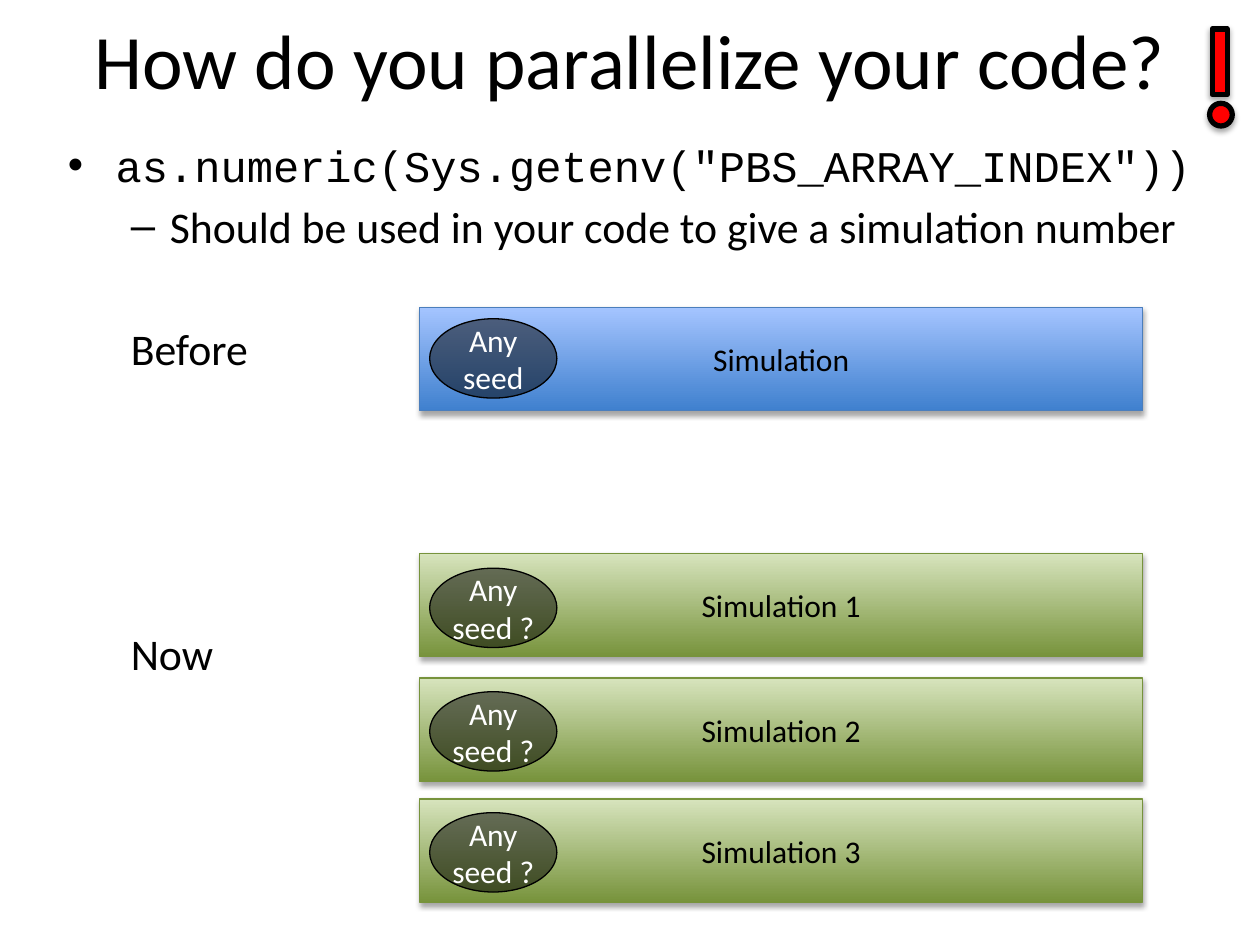
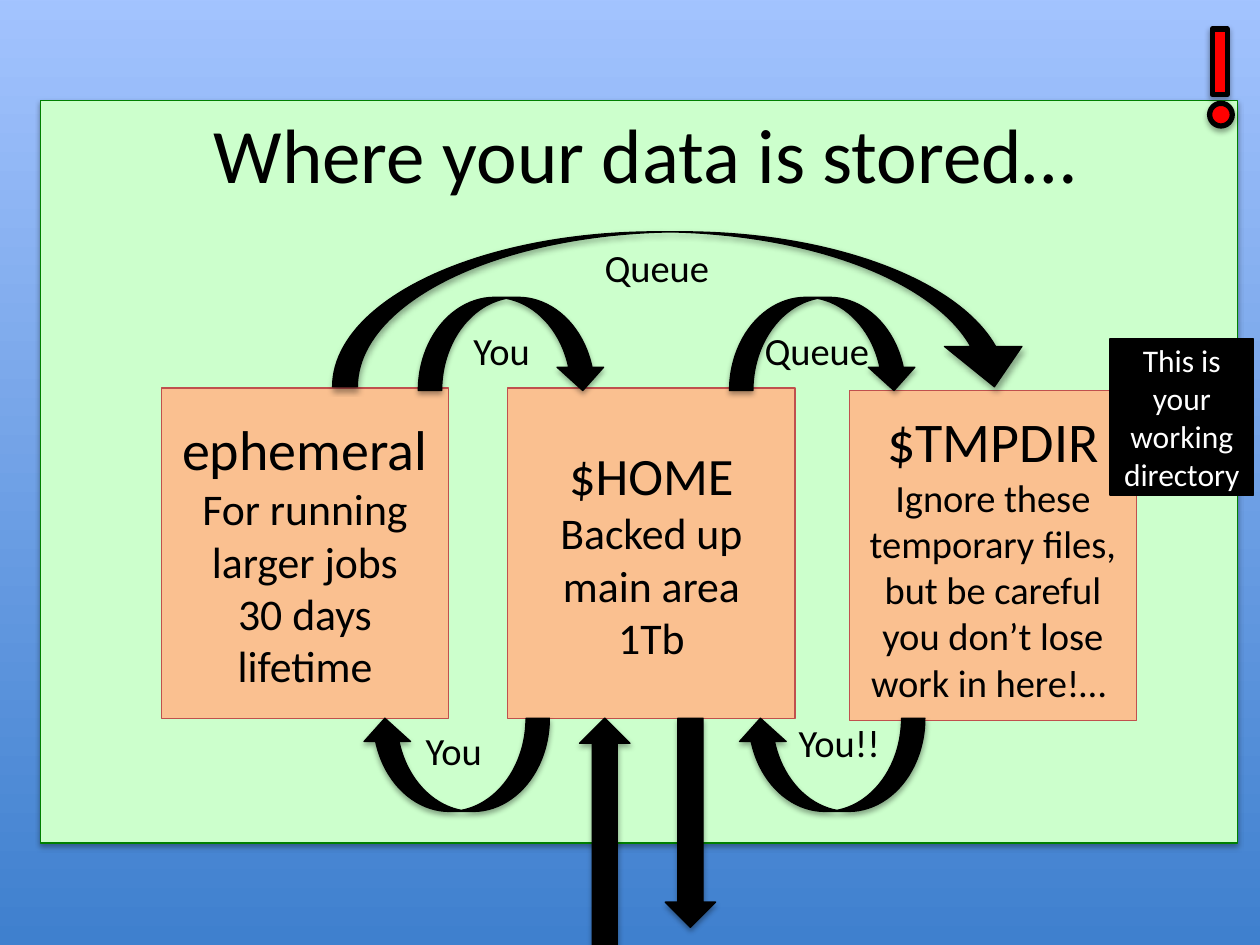
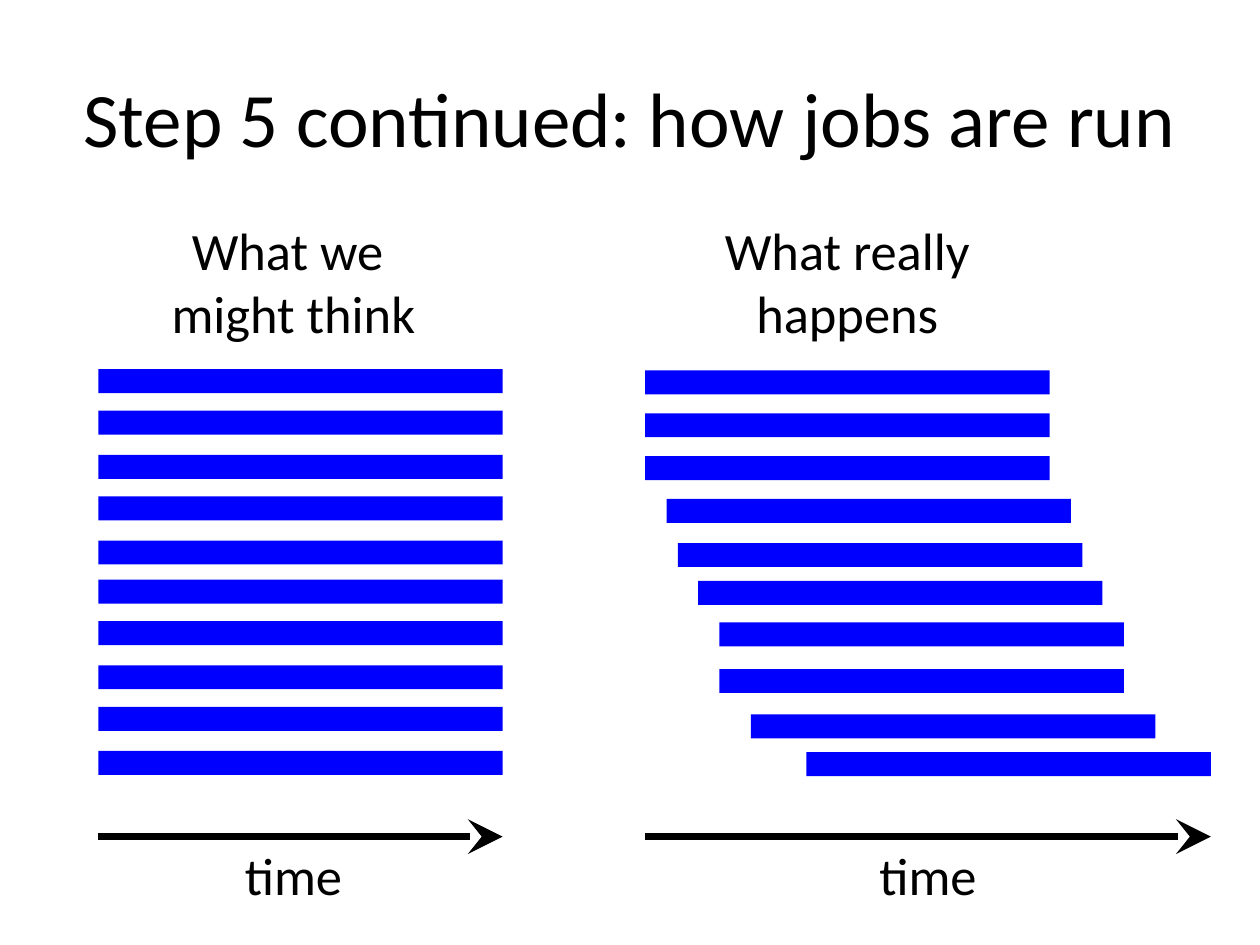
import pptx
import pptx.util
import pptx.dml.color
import pptx.enum.shapes
import pptx.enum.text
import pptx.oxml
import pptx.oxml.ns

Pt = pptx.util.Pt
RGB = pptx.dml.color.RGBColor
Kind = pptx.enum.shapes.MSO_SHAPE
Align = pptx.enum.text.PP_ALIGN
Anchor = pptx.enum.text.MSO_ANCHOR
qn = pptx.oxml.ns.qn

# Shared colours, as fills or as (bottom, top) gradients
BLACK = RGB(0x00, 0x00, 0x00)
WHITE = RGB(0xFF, 0xFF, 0xFF)
RED = RGB(0xFF, 0x00, 0x00)
BLUE = RGB(0x00, 0x00, 0xFF)
STEEL = RGB(0x4B, 0x7E, 0xBC)
OLIVE = RGB(0x77, 0x93, 0x3C)
MINT = RGB(0xCC, 0xFF, 0xCC)
GREEN = RGB(0x00, 0x80, 0x00)
PEACH = RGB(0xFA, 0xC0, 0x90)
BRICK = RGB(0xC0, 0x50, 0x4D)
SKY = (RGB(0x3F, 0x80, 0xCE), RGB(0xA4, 0xC4, 0xFF))
LEAF = (OLIVE, RGB(0xD7, 0xE4, 0xBD))

FONT, MONO = "Calibri", "Courier New"
COLS, ROWS = 100, 75


def node(tag, inner="", **attrs):
    """Make one DrawingML element."""
    text = " ".join(f'{key}="{val}"' for key, val in attrs.items())
    space = pptx.oxml.ns.nsdecls("a")
    return pptx.oxml.parse_xml(f"<a:{tag} {space} {text}>{inner}</a:{tag}>")


class Deck:
    """Holds the style and the current slide; lengths are grid cells."""

    def __init__(self):
        self.prs = pptx.Presentation()
        self.prs.slide_width = pptx.util.Inches(10)
        self.prs.slide_height = pptx.util.Inches(7.5)
        self.slide = None

    def page(self):
        self.slide = self.prs.slides.add_slide(self.prs.slide_layouts[6])

    def cells(self, *vals):
        """Turn alternating columns and rows into lengths."""
        wide = self.prs.slide_width / COLS
        high = self.prs.slide_height / ROWS
        return [round(val * (high if i % 2 else wide))
                for i, val in enumerate(vals)]

    def fill_text(self, frame, paras, color=BLACK, align=Align.CENTER,
                  anchor=Anchor.MIDDLE):
        """Fill a frame; each paragraph is a list of (words, size) runs."""
        frame.word_wrap = True
        frame.vertical_anchor = anchor
        for i, runs in enumerate(paras):
            para = frame.add_paragraph() if i else frame.paragraphs[0]
            para.alignment = align
            for j, (words, size) in enumerate(runs):
                if j:
                    para.add_line_break()
                self.add_words(para, words, size, color)

    def add_words(self, para, words, size, color=BLACK, font=FONT):
        run = para.add_run()
        run.text = words
        run.font.name = font
        run.font.size = Pt(size)
        run.font.color.rgb = color

    def text(self, at, paras, align=Align.LEFT, anchor=Anchor.TOP):
        box = self.slide.shapes.add_textbox(*self.cells(*at))
        self.fill_text(box.text_frame, paras, align=align, anchor=anchor)

    def title(self, left, top, wide, words):
        self.text((left, top, wide, 12.5), [[(words, 44)]],
                  Align.CENTER, Anchor.MIDDLE)

    def points(self, at, items):
        """Items are (words, font, level, margin, indent, bullet, gap)."""
        box = self.slide.shapes.add_textbox(*self.cells(*at))
        frame = box.text_frame
        frame.word_wrap = True
        for i, (words, font, level, left, hang, mark, gap) in enumerate(items):
            para = frame.add_paragraph() if i else frame.paragraphs[0]
            para.level = level
            para.space_before = Pt(gap)
            props = para._p.get_or_add_pPr()
            left, _, hang = self.cells(left, 0, hang)
            props.set("marL", str(left))
            props.set("indent", str(hang))
            if mark:
                props.append(node("buFont", typeface="Arial"))
                props.append(node("buChar", char=mark))
            else:
                props.append(node("buNone"))
            self.add_words(para, words, 25, font=font)

    def shape(self, kind, at, fill, line=None, width=0.75, shade=False,
              paras=(), color=BLACK, turn=0, home=None):
        form = (home or self.slide).shapes.add_shape(kind, *self.cells(*at))
        form.rotation = turn
        if isinstance(fill, tuple) and not isinstance(fill, RGB):
            form.fill.gradient()
            form.fill.gradient_angle = 90
            for stop, tone in zip(form.fill.gradient_stops, fill):
                stop.color.rgb = tone
        else:
            form.fill.solid()
            form.fill.fore_color.rgb = fill
        if line is None:
            form.line.fill.background()
        else:
            form.line.color.rgb = line
            form.line.width = Pt(width)
        form.shadow.inherit = False
        if shade:
            tone = '<a:srgbClr val="000000"><a:alpha val="35000"/></a:srgbClr>'
            form.element.spPr.find(qn("a:effectLst")).append(
                node("outerShdw", tone, blurRad=40000, dist=23000,
                     dir=5400000, rotWithShape=0))
        if paras:
            self.fill_text(form.text_frame, paras, color)
        return form

    def rect(self, at, fill, **style):
        return self.shape(Kind.RECTANGLE, at, fill, **style)

    def seed(self, top, words):
        """Half-clear oval that sits on a simulation bar."""
        oval = self.shape(Kind.OVAL, (34.1, top, 10.1, 6.3), BLACK, BLACK,
                          paras=[[(words, 18)]], color=WHITE)
        oval.text_frame.margin_left = oval.text_frame.margin_right = 0
        tone = oval.element.spPr.find(qn("a:solidFill"))[0]
        tone.append(node("alpha", val=50000))

    def alert(self):
        """Red exclamation mark in the top right corner."""
        group = self.slide.shapes.add_group_shape()
        style = dict(line=BLACK, width=3, shade=True, home=group)
        self.shape(Kind.OVAL, (96, 8.2, 1.8, 1.8), RED, **style)
        self.rect((96.2, 2.3, 1.2, 5.2), RED, **style)

    def block(self, kind, at, turn=0):
        """Black block arrow."""
        return self.shape(kind, at, BLACK, BLACK, shade=True, turn=turn)

    def axis(self, left, right, top):
        """Time arrow."""
        line = self.slide.shapes.add_connector(
            pptx.enum.shapes.MSO_CONNECTOR.STRAIGHT,
            *self.cells(left, top, right, top))
        line.line.color.rgb = BLACK
        line.line.width = Pt(4)
        props = line.element.spPr
        props.find(qn("a:ln")).append(
            node("tailEnd", type="stealth", w="lg", len="lg"))
        props.append(node("effectLst"))


def split(deck):
    """Slide 1: one simulation becomes three."""
    deck.page()
    deck.title(0, -1.6, 100, "How do you parallelize your code?")
    deck.points((4.4, 10.5, 95.6, 64.5), [
        ('as.numeric(Sys.getenv("PBS_ARRAY_INDEX"))',
         MONO, 0, 3.8, -3.8, "•", 5),
        ("Should be used in your code to give a simulation number",
         FONT, 1, 8.1, -3.1, "–", 5),
        ("Before", FONT, 1, 5, 0, None, 39.5),
        ("Now", FONT, 1, 5, 0, None, 144.5)])
    bars = [(24.4, 25.3, "Simulation", "Any seed", SKY, STEEL)]
    bars += [(top, oval, f"Simulation {i}", "Any seed ?", LEAF, OLIVE)
             for i, (top, oval) in enumerate(
                 [(43.9, 45.1), (53.8, 54.9), (63.4, 64.5)], 1)]
    for top, oval, name, seed, fill, line in bars:
        deck.rect((33.3, top, 57.4, 8.2), fill, line=line, shade=True,
                  paras=[[(name, 18)]])
        deck.seed(oval, seed)
    deck.alert()


def store(deck):
    """Slide 2: storage areas and the moves between them."""
    deck.page()
    deck.rect((-3.3, -1.4, 106, 76.4), SKY, shade=True)
    deck.rect((3.2, 8, 95, 58.9), MINT, line=GREEN, shade=True)
    deck.title(6.2, 5.9, 90, "Where your data is stored…")

    # Storage areas
    areas = [
        (40.3, 30.8, [[("$HOME", 30)], [("Backed up main area", 25)],
                      [("1Tb", 25)]]),
        (67.4, 31, [[("$TMPDIR", 32)],
                    [("Ignore these temporary files, but be careful "
                      "you don’t lose work in here!… ", 22)]]),
        (12.8, 30.8, [[("ephemeral", 32), ("For running larger jobs", 25)],
                      [("30 days lifetime", 25)]])]
    for left, top, paras in areas:
        deck.rect((left, top, 22.8, 26.2), PEACH, line=BRICK, paras=paras)
    deck.alert()
    deck.rect((88.1, 26.9, 11.4, 12.4), BLACK, line=BLACK, color=WHITE,
              paras=[[("This is your working directory", 18)]])

    # Moves between areas, then in and out
    for left, top, turn in [(57.9, 23.6, 0), (33.2, 23.6, 0),
                            (28.7, 57, 180), (58.5, 57, 180)]:
        deck.block(Kind.CURVED_DOWN_ARROW, (left, top, 14.9, 7.4), turn)
    deck.block(Kind.UP_ARROW, (46, 57, 4, 18.4))
    deck.block(Kind.UP_ARROW, (52.8, 57, 4, 16.6), 180)
    arc = deck.block(Kind.CURVED_DOWN_ARROW, (26.4, 18.4, 55.6, 12.3))
    for i, part in enumerate((0.16, 0.5, 0.26)):
        arc.adjustments[i] = part
    for left, top, who in [(59.7, 25.5, "Queue"), (36.6, 25.5, "You"),
                           (32.8, 57.2, "You"), (62.4, 56.6, "You!!"),
                           (47, 18.9, "Queue")]:
        deck.text((left, top, 12.7, 4.7), [[(who, 22)]])


def jobs(deck):
    """Slide 3: expected and real job timing."""
    deck.page()
    deck.title(5, 3, 90, "Step 5 continued: how jobs are run")
    near, far, wide = 7.8, 51.2, 32.1

    # Job bars: two runs of five on the left, late starts on the right
    steps = (0, 3.3, 6.8, 10.1, 13.6)
    even = [(near, 29.3 + half * 16.7 + step)
            for half in range(2) for step in steps]
    delays = (0, 0, 0, 1.7, 2.6, 4.2, 5.9, 5.9, 8.4, 12.8)
    tops = (29.4, 32.8, 36.2, 39.6, 43.1, 46.1, 49.4, 53.1, 56.7, 59.7)
    late = [(far + delay, top) for delay, top in zip(delays, tops)]
    for left, top in even + late:
        deck.rect((left, top, wide, 1.9), BLUE)

    # Time axes and headings
    for left, right, span in [(near, 39.9, 31), (far, 96.1, 44.9)]:
        deck.axis(left, right, 66.4)
        deck.text((left, 66.4, span, 6.1), [[("time", 30)]], Align.CENTER)
    deck.text((near, 16.8, 31, 11.1),
              [[("What we ", 30)], [("might think", 30)]], Align.CENTER)
    deck.text((far, 16.8, wide, 11.1), [[("What really happens", 30)]],
              Align.CENTER)


def main():
    deck = Deck()
    for build in (split, store, jobs):
        build(deck)
    deck.prs.save("out.pptx")


if __name__ == "__main__":
    main()
